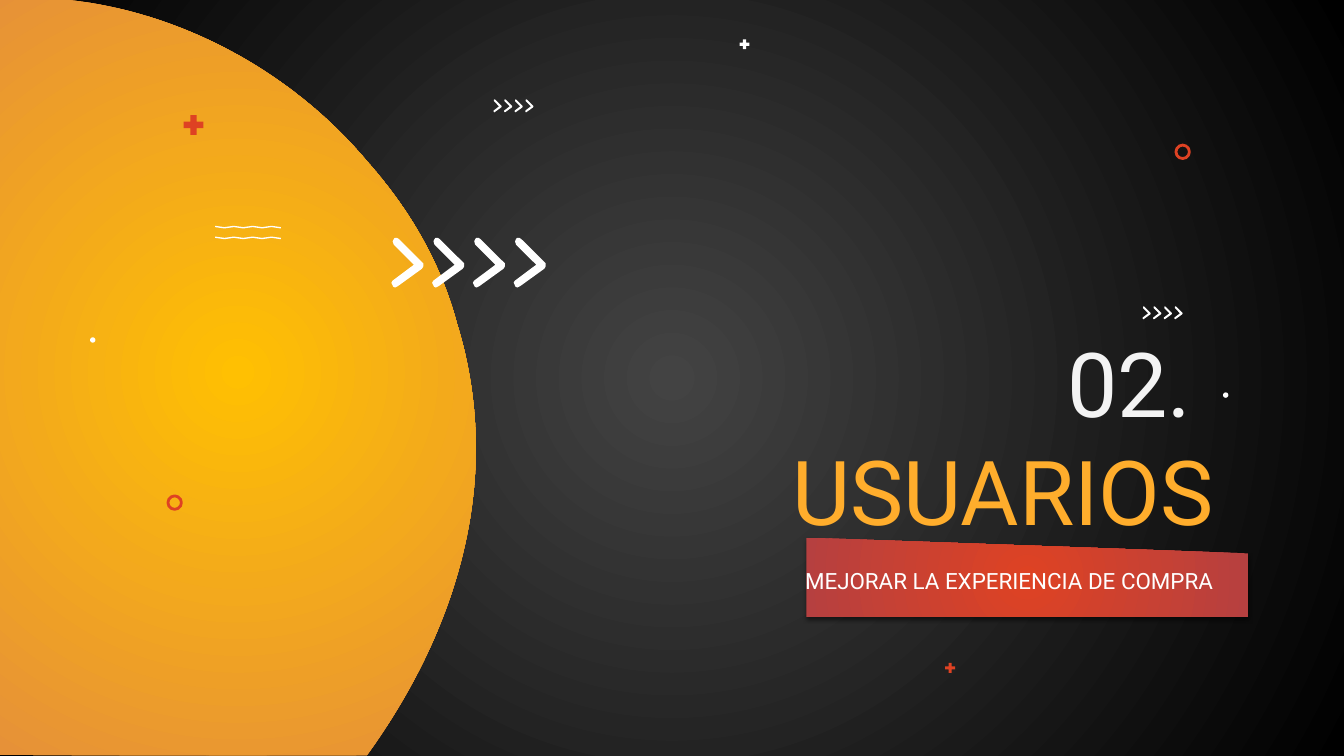
from lxml.etree import SubElement
from pptx import Presentation
from pptx.dml.color import RGBColor
from pptx.enum.shapes import MSO_SHAPE as Preset
from pptx.enum.text import MSO_ANCHOR as Anchor, PP_ALIGN as Align
from pptx.oxml.ns import qn
from pptx.util import Inches, Pt

WHITE = RGBColor(0xFF, 0xFF, 0xFF)
PALE = RGBColor(0xF3, 0xF3, 0xF3)
GRAY = RGBColor(0x43, 0x43, 0x43)
BLACK = RGBColor(0x00, 0x00, 0x00)
RED = RGBColor(0xDE, 0x42, 0x23)
DARK_RED = RGBColor(0xB6, 0x40, 0x40)
YELLOW = RGBColor(0xFF, 0xC0, 0x02)
ORANGE = RGBColor(0xE6, 0x91, 0x38)
AMBER = RGBColor(0xFF, 0xAD, 0x2C)

# Outlines: a start point, then segments of one point (line) or three (curve)
CHEVRON = [
    [(0.04, 0)],
    [(0.03, 0), (0.02, 0), (0.02, 0.01)],
    [(0.01, 0.02), (0.01, 0.03), (0.02, 0.05)],
    [(0.17, 0.2)],
    [(0.01, 0.32)],
    [(0, 0.33), (0, 0.34), (0.01, 0.35)],
    [(0.01, 0.36), (0.02, 0.37), (0.03, 0.37)],
    [(0.04, 0.37), (0.04, 0.36), (0.05, 0.36)],
    [(0.23, 0.23)],
    [(0.24, 0.22), (0.24, 0.21), (0.24, 0.21)],
    [(0.24, 0.2), (0.24, 0.19), (0.24, 0.19)],
    [(0.06, 0.01)],
    [(0.05, 0), (0.04, 0), (0.04, 0)],
]
CHEVRON_PITCH = 0.91 / 3
DISC = [
    [(3.54, 3.34)],
    [(3.54, 4.04), (3.3, 4.83), (2.73, 5.62)],
    [(2.28, 5.62)],
    [(0, 5.62)],
    [(0, -0.01)],
    [(0.99, -0.08), (2.05, 0.39), (2.73, 1.2)],
    [(3.05, 1.56), (3.28, 1.96), (3.4, 2.41)],
    [(3.49, 2.7), (3.54, 3.01), (3.54, 3.34)],
]


def turned_back(outline, center_x, center_y):
    """Quarter turn to the left, undone by a rotation of 90 degrees."""
    return [[(center_x + y - center_y, center_y - x + center_x) for x, y in segment]
            for segment in outline]


def wave_outline(half=0.07, count=7, height=0.01, thickness=0.01):
    def edge(steps, shift):
        for start, end in zip(steps, steps[1:]):
            middle = (start + end) * half / 2
            y_start, y_end = (shift + height * (n % 2) for n in (start, end))
            yield [(middle, y_start), (middle, y_end), (end * half, y_end)]

    steps = list(range(count + 1))
    return [[(0, 0)], [(0, thickness)], *edge(steps, thickness),
            [(count * half, height)], *edge(steps[::-1], 0)]


class Deck:
    font = "Roboto"

    def __init__(self):
        self.prs = Presentation()
        self.prs.slide_width = Inches(10)
        self.prs.slide_height = Inches(10) * 9 // 16
        self.slide = self.prs.slides.add_slide(self.prs.slide_layouts[6])
        self.shapes = self.slide.shapes

    def radial(self, fill, element, inner, outer):
        fill.gradient()
        for stop, color, position in zip(fill.gradient_stops, (inner, outer), (0, 1)):
            stop.color.rgb, stop.position = color, position
        gradient = element.find(".//" + qn("a:gradFill"))
        gradient.remove(gradient.find(qn("a:lin")))
        circle = SubElement(gradient, qn("a:path"), path="circle")
        SubElement(circle, qn("a:fillToRect"), l="50000", t="50000", r="50000", b="50000")

    def background(self, inner, outer):
        self.radial(self.slide.background.fill, self.slide.element, inner, outer)

    def paint(self, shape, fill=None, line=None):
        shape.shadow.inherit = False
        if isinstance(fill, tuple) and not isinstance(fill, RGBColor):
            self.radial(shape.fill, shape.element, *fill)
        elif fill is not None:
            shape.fill.solid()
            shape.fill.fore_color.rgb = fill
        else:
            shape.fill.background()
        if line is not None:
            shape.line.color.rgb = line
            shape.line.width = Pt(1.5)
        else:
            shape.line.fill.background()
        return shape

    def preset(self, kind, left, top, width, height, fill=None, line=None):
        box = (Inches(v) for v in (left, top, width, height))
        return self.paint(self.shapes.add_shape(kind, *box), fill, line)

    def outline(self, segments, fill, left=0, top=0, scale=1):
        start, *points = [(Inches(left + x * scale), Inches(top + y * scale))
                          for segment in segments for x, y in segment]
        builder = self.shapes.build_freeform(*start)
        builder.add_line_segments(points, close=True)
        shape = builder.convert_to_shape()
        # Join each three points of a curved segment into one Bezier
        vertices = iter(shape.element.findall(".//" + qn("a:lnTo")))
        for segment in segments[1:]:
            vertex = next(vertices)
            if len(segment) == 3:
                vertex.addprevious(curve := vertex.makeelement(qn("a:cubicBezTo")))
                for item in (vertex, next(vertices), next(vertices)):
                    curve.append(item[0])
                    item.getparent().remove(item)
        return self.paint(shape, fill)

    def chevrons(self, left, top, scale=1):
        for i in range(4):
            self.outline(CHEVRON, WHITE, left + i * CHEVRON_PITCH * scale, top, scale)

    def banner(self, left, top, width, height):
        banner = self.preset(Preset.FLOWCHART_MANUAL_INPUT, left, top, width, height,
                             (RED, DARK_RED))
        banner.element.find(".//" + qn("a:xfrm")).set("flipH", "1")
        effects = banner.element.find(".//" + qn("a:effectLst"))
        shadow = SubElement(effects, qn("a:outerShdw"), blurRad=str(Pt(2.2)),
                            dist=str(Pt(1.5)), dir="5400000", algn="bl", rotWithShape="0")
        color = SubElement(shadow, qn("a:srgbClr"), val=str(BLACK))
        SubElement(color, qn("a:alpha"), val="50000")

    def text(self, left, top, width, height, lines, size, anchor=Anchor.TOP):
        box = (Inches(v) for v in (left, top, width, height))
        frame = self.shapes.add_textbox(*box).text_frame
        frame.word_wrap = True
        frame.vertical_anchor = anchor
        frame.margin_left = frame.margin_right = frame.margin_top = frame.margin_bottom = 0
        paragraph = frame.paragraphs[0]
        paragraph.alignment = Align.RIGHT
        for i, (words, color) in enumerate(lines):
            if i:
                paragraph.add_line_break()
            run = paragraph.add_run()
            run.text = words
            run.font.name, run.font.size = self.font, Pt(size)
            run.font.color.rgb = color


def main():
    deck = Deck()
    deck.background(GRAY, BLACK)

    # Large disc, drawn lying down and turned upright
    disc = deck.outline(turned_back(DISC, 1.77, 2.77), (YELLOW, ORANGE))
    disc.rotation = 90

    # Small ornaments
    for wave_top in (1.68, 1.76):
        deck.outline(wave_outline(), WHITE, 1.6, wave_top)
    for left, top, size, color in ((1.34, 0.83, 0.2, RED), (5.49, 0.28, 0.1, WHITE),
                                   (7.02, 4.92, 0.1, RED)):
        deck.preset(Preset.MATH_PLUS, left, top, size, size, color)
    for left, top in ((0.67, 2.51), (9.1, 2.92)):
        deck.preset(Preset.OVAL, left, top, 0.04, 0.04, WHITE)
    for left, top in ((8.75, 1.08), (1.25, 3.69)):
        deck.preset(Preset.OVAL, left, top, 0.1, 0.1, line=RED)
    for left, top in ((8.5, 2.28), (3.67, 0.74)):
        deck.chevrons(left, top, 0.26)

    # Subtitle on its banner
    deck.banner(6, 4, 3.29, 0.59)
    deck.text(5.59, 4.22, 3.44, 0.39, [("MEJORAR LA EXPERIENCIA DE COMPRA", WHITE)], 12)

    # Large chevrons and section title
    deck.chevrons(2.91, 1.77)
    deck.text(5.3, 1.59, 3.73, 2.45, [("02. ", PALE), ("USUARIOS", AMBER)], 48,
              Anchor.BOTTOM)

    deck.prs.save("out.pptx")


if __name__ == "__main__":
    main()
